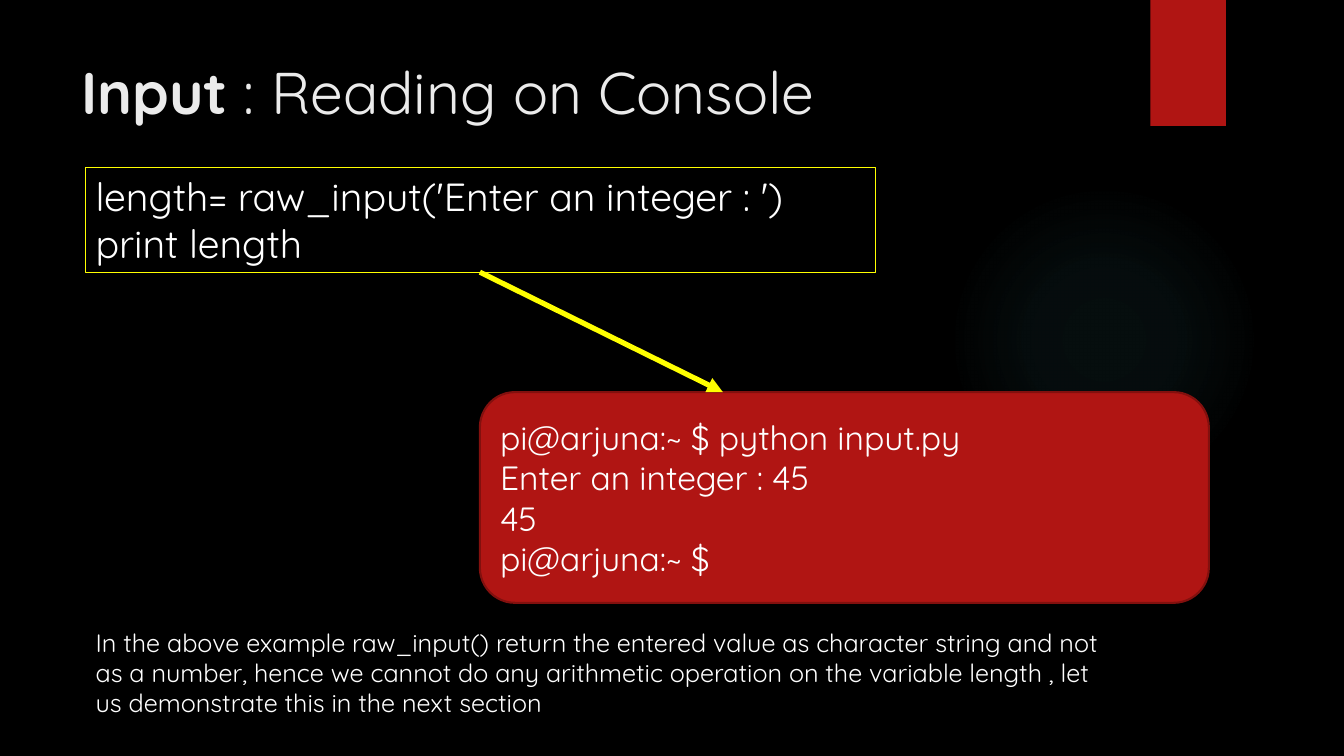
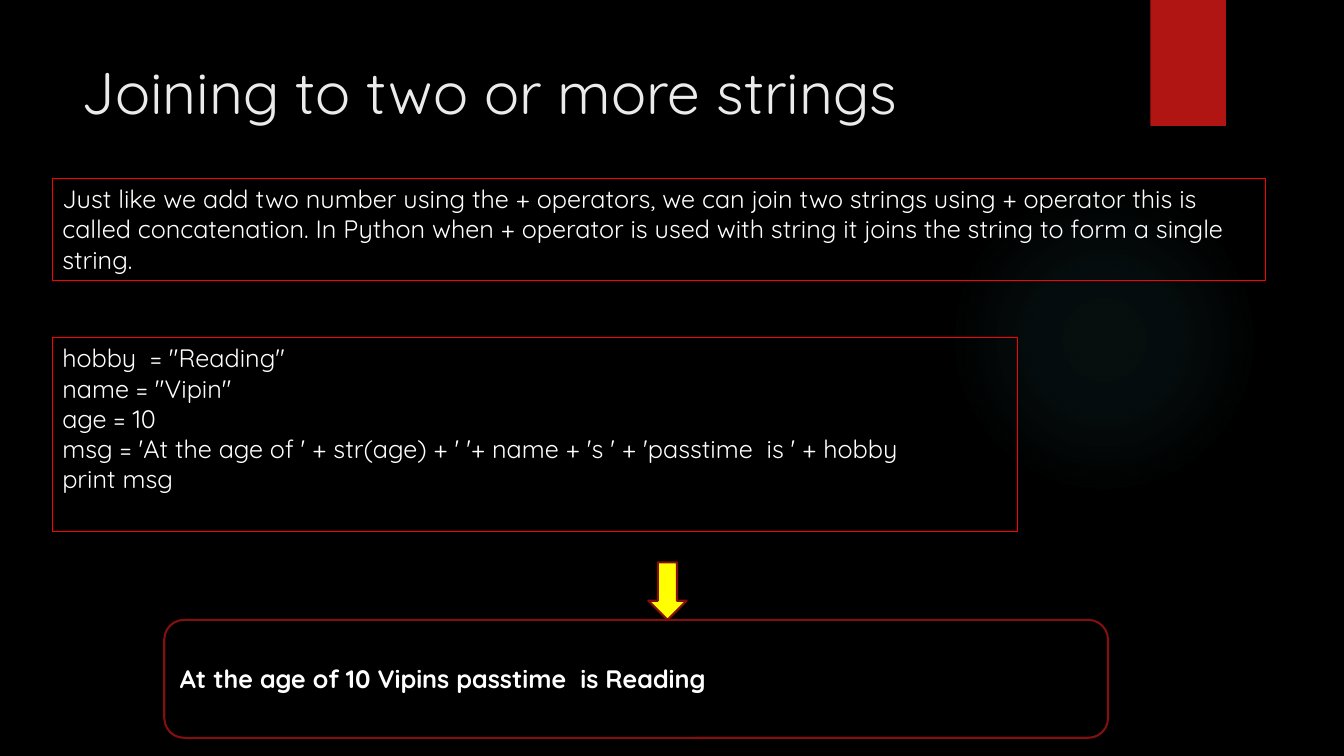
from dataclasses import dataclass

from lxml import etree
from pptx import Presentation
from pptx.dml.color import RGBColor
from pptx.enum.shapes import MSO_CONNECTOR, MSO_SHAPE
from pptx.enum.text import MSO_ANCHOR, PP_ALIGN
from pptx.oxml import parse_xml
from pptx.oxml.ns import nsdecls, qn
from pptx.util import Inches, Pt

RECT, ROUND = MSO_SHAPE.RECTANGLE, MSO_SHAPE.ROUNDED_RECTANGLE
OVAL, DOWN = MSO_SHAPE.OVAL, MSO_SHAPE.DOWN_ARROW
LEFT, TOP, MIDDLE = PP_ALIGN.LEFT, MSO_ANCHOR.TOP, MSO_ANCHOR.MIDDLE
STRAIGHT = MSO_CONNECTOR.STRAIGHT

FONT = "Quicksand"
HEX = {
    "black": "000000", "white": "FFFFFF", "title": "EBEBEB", "red": "B01513",
    "dark": "82100E", "bright": "FF0000", "yellow": "FFFF00", "glow": "50B9C1",
}


@dataclass
class Box:
    """A shape with optional fill, outline and lines of text."""
    at: tuple[float, float, float, float]
    text: tuple[str, ...] = ()
    size: float = 18
    kind: int = RECT
    fill: str | None = None
    line: str | None = None
    width: float = 0.75
    anchor: int = TOP
    bold: bool = False


def rgb(name: str) -> RGBColor:
    return RGBColor.from_string(HEX[name])


def style(para, size: float, color: str, bold: bool | None = None) -> None:
    para.alignment = LEFT
    font = para.font
    font.name, font.size, font.bold = FONT, Pt(size), bold
    font.color.rgb = rgb(color)


def draw(slide, box: Box):
    shape = slide.shapes.add_shape(box.kind, *map(Inches, box.at))
    shape.shadow.inherit = False
    if box.fill:
        shape.fill.solid()
        shape.fill.fore_color.rgb = rgb(box.fill)
    else:
        shape.fill.background()
    if box.line:
        shape.line.color.rgb = rgb(box.line)
        shape.line.width = Pt(box.width)
    else:
        shape.line.fill.background()
    frame = shape.text_frame
    frame.word_wrap = True
    frame.vertical_anchor = box.anchor
    for i, text in enumerate(box.text):
        para = frame.add_paragraph() if i else frame.paragraphs[0]
        para.add_run().text = text
        style(para, box.size, "white", box.bold)
    return shape


def add_glow(slide) -> None:
    oval = draw(slide, Box((9.41, 1.83, 3.08, 3.08), kind=OVAL))
    stops = "".join(
        f'<a:gs pos="{pos * 1000}"><a:srgbClr val="{HEX["glow"]}">'
        f'<a:alpha val="{alpha * 1000}"/></a:srgbClr></a:gs>'
        for pos, alpha in ((0, 7), (36, 6), (69, 0), (100, 0)))
    grad = parse_xml(
        f'<a:gradFill {nsdecls("a")}><a:gsLst>{stops}</a:gsLst>'
        '<a:path path="circle"><a:fillToRect l="50000" t="50000" r="50000" '
        'b="50000"/></a:path></a:gradFill>')
    props = oval.element.spPr
    props.replace(props.find(qn("a:noFill")), grad)


def add_band(slide) -> None:
    band = draw(slide, Box((11.41, 0, 0.75, 1.25), fill="red"))
    band.element.spPr.find(qn("a:effectLst")).append(parse_xml(
        f'<a:outerShdw {nsdecls("a")} blurRad="{Pt(3)}" dist="{Pt(2)}" '
        f'dir="5400000" rotWithShape="0"><a:srgbClr val="{HEX["black"]}">'
        '<a:alpha val="45000"/></a:srgbClr></a:outerShdw>'))


def add_title(slide, text: str, strong: str = "") -> None:
    area = slide.shapes.add_textbox(*map(Inches, (0.71, 0.5, 10.29, 0.98)))
    frame = area.text_frame
    frame.word_wrap = True
    para = frame.paragraphs[0]
    style(para, 42, "title")
    if strong:
        run = para.add_run()
        run.text, run.font.bold = strong, True
    para.add_run().text = text


def add_arrow(slide, start: tuple[float, float], end: tuple[float, float]) -> None:
    arrow = slide.shapes.add_connector(STRAIGHT, *map(Inches, start + end))
    arrow.line.color.rgb = rgb("yellow")
    arrow.line.width = Pt(3.75)
    etree.SubElement(arrow.line._get_or_add_ln(), qn("a:tailEnd"), type="triangle")
    etree.SubElement(arrow.element.spPr, qn("a:effectLst"))


def add_slide(deck, title: str, strong: str = ""):
    slide = deck.slides.add_slide(deck.slide_layouts[6])
    back = slide.background.fill
    back.solid()
    back.fore_color.rgb = rgb("black")
    add_glow(slide)
    add_band(slide)
    add_title(slide, title, strong)
    return slide


deck = Presentation()
deck.slide_width, deck.slide_height = Inches(13.33), Inches(7.5)

# Reading input
slide = add_slide(deck, " : Reading on Console", "Input")
for box in (
    Box((0.85, 1.66, 7.83, 1.04),
        ("length= raw_input('Enter an integer : ')", "print length"),
        size=28, line="yellow"),
    Box((4.76, 3.89, 7.23, 2.09),
        ("pi@arjuna:~ $ python input.py", "Enter an integer : 45", "45",
         "pi@arjuna:~ $"),
        size=24, kind=ROUND, fill="red", line="dark", width=1.5, anchor=MIDDLE),
    Box((0.85, 6.17, 10.15, 1.01),
        ("In the above example raw_input() return the entered value as "
         "character string and not as a number, hence we cannot do any "
         "arithmetic operation on the variable length , let us demonstrate "
         "this in the next section",)),
):
    draw(slide, box)
add_arrow(slide, (4.76, 2.7), (7.17, 3.89))

# Joining strings
slide = add_slide(deck, "Joining to two or more strings")
for box in (
    Box((0.52, 1.77, 12.03, 1.01),
        ("Just like we add two number using the + operators, we can join two "
         "strings using + operator this is called concatenation. In Python "
         "when + operator is used with string it joins the string to form a "
         "single string.",), line="bright"),
    Box((0.52, 3.35, 9.57, 1.92),
        ('hobby  = "Reading"', 'name = "Vipin"', "age = 10",
         "msg = 'At the age of ' + str(age) + ' '+ name + 's ' + "
         "'passtime  is ' + hobby", "print msg"), line="bright"),
    Box((1.63, 6.15, 9.36, 1.17),
        ("At the age of 10 Vipins passtime  is Reading",), kind=ROUND,
        fill="black", line="dark", width=1.5, anchor=MIDDLE, bold=True),
    Box((6.43, 5.58, 0.38, 0.57), kind=DOWN, fill="yellow", line="dark",
        width=1.5),
):
    draw(slide, box)

deck.save("out.pptx")
